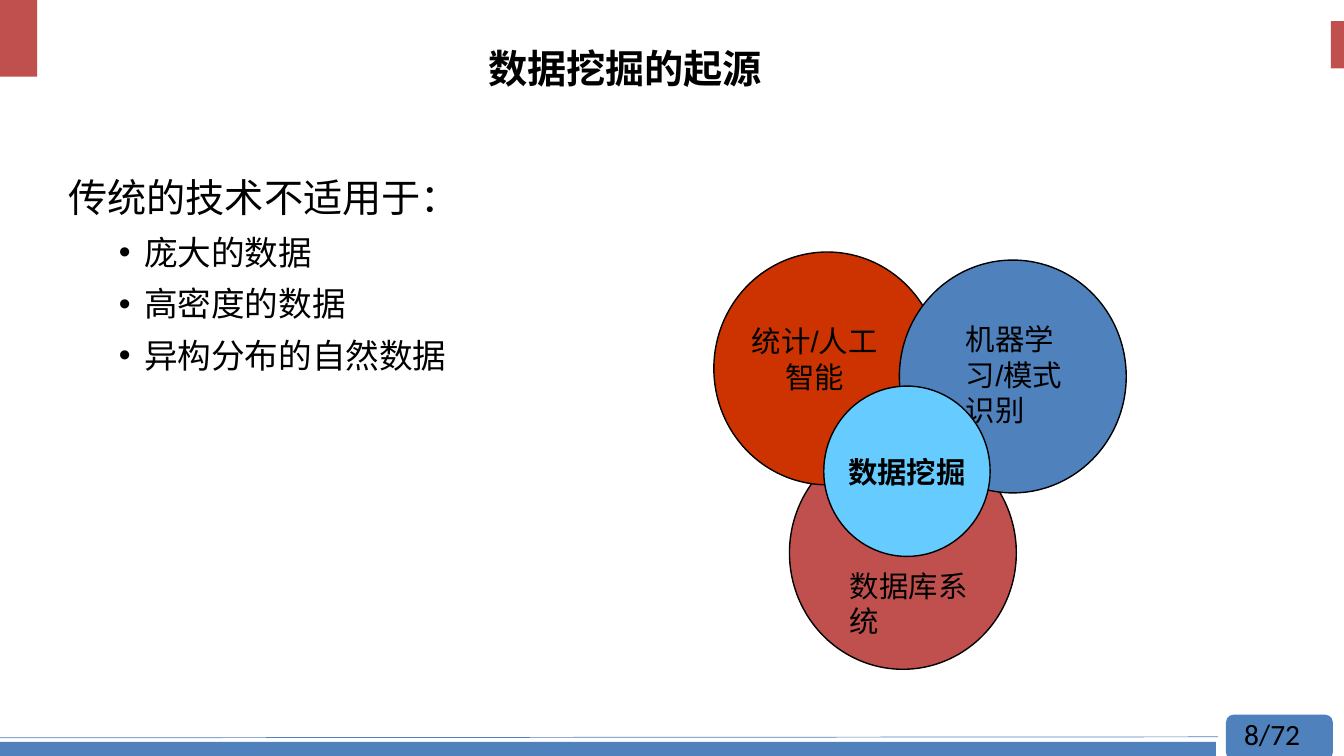
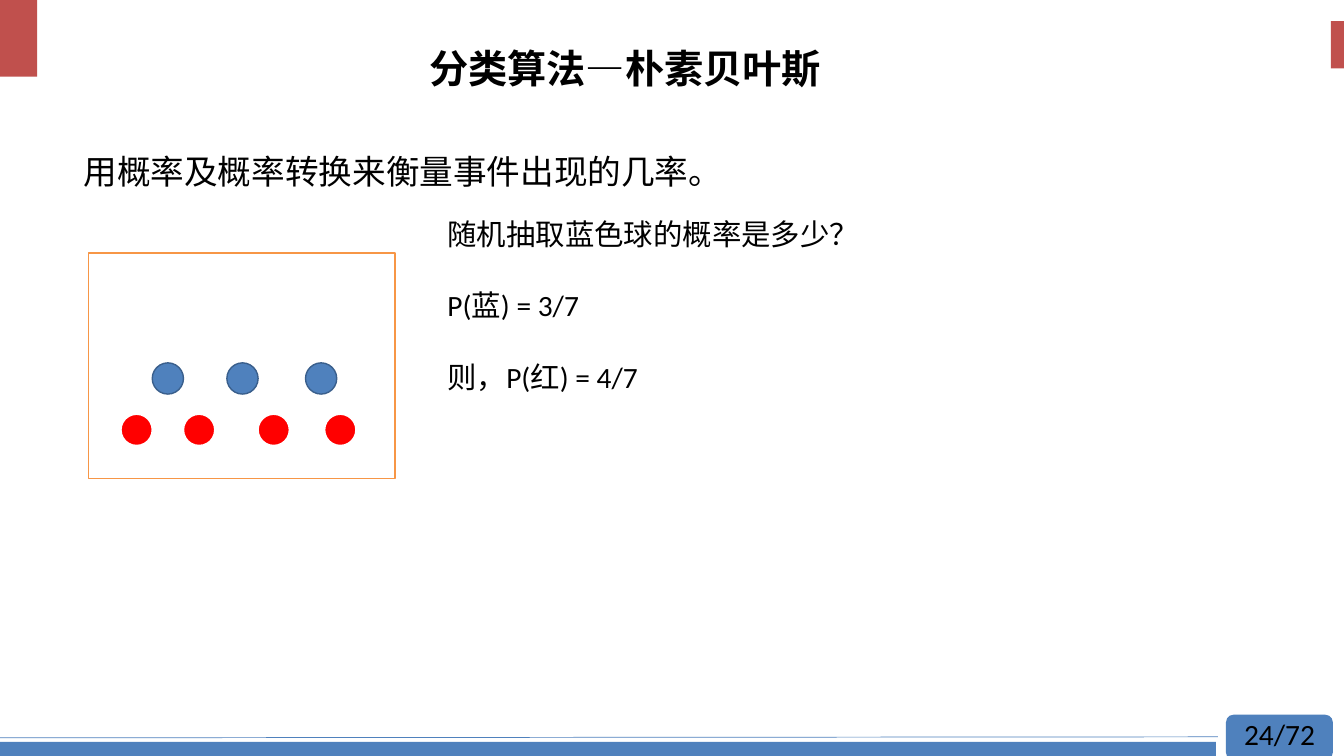
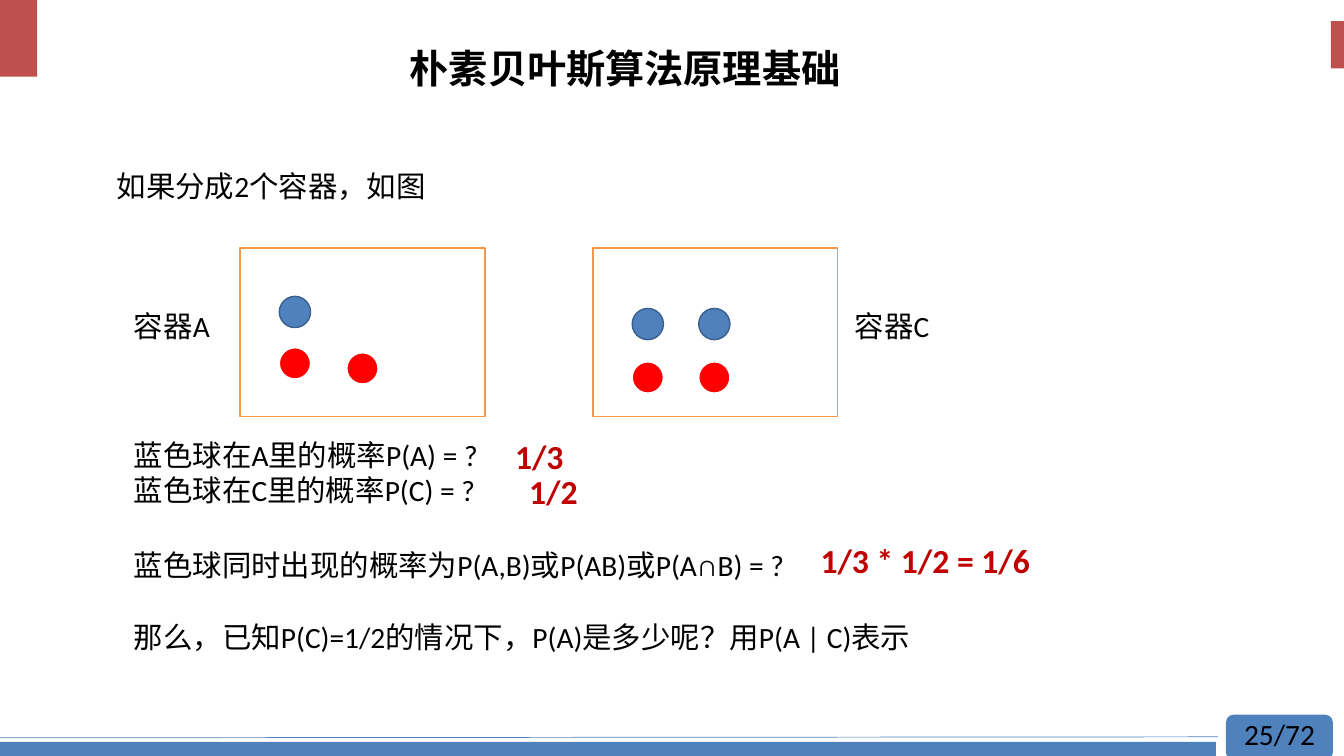
from dataclasses import dataclass

import pptx
import pptx.dml.color
import pptx.enum.shapes
import pptx.enum.text
import pptx.oxml.ns
import pptx.oxml.xmlchemy
import pptx.util
from lxml import etree

Inches = pptx.util.Inches
Pt = pptx.util.Pt
RGBColor = pptx.dml.color.RGBColor
Shape = pptx.enum.shapes.MSO_SHAPE
Align = pptx.enum.text.PP_ALIGN
Anchor = pptx.enum.text.MSO_ANCHOR
qn = pptx.oxml.ns.qn

BLACK = RGBColor(0x00, 0x00, 0x00)
WHITE = RGBColor(0xFF, 0xFF, 0xFF)
BLUE = RGBColor(0x4F, 0x81, 0xBD)
DARK_BLUE = RGBColor(0x3A, 0x5F, 0x8C)
SKY = RGBColor(0x66, 0xCC, 0xFF)
BRICK = RGBColor(0xC0, 0x50, 0x4D)
RUST = RGBColor(0xCC, 0x33, 0x00)
RED = RGBColor(0xFF, 0x00, 0x00)
DARK_RED = RGBColor(0xC0, 0x00, 0x00)
ORANGE = RGBColor(0xF7, 0x96, 0x46)

CJK_FONT = "Noto Sans CJK SC"
TOTAL_PAGES = 72
BALL_SIZE = 0.31
BODY_LEADING = Pt(32)
LABEL_LEADING = Pt(25.5)


@dataclass(frozen=True)
class Box:
    left: float
    top: float
    width: float
    height: float

    def lengths(self) -> tuple:
        return tuple(Inches(v) for v in (self.left, self.top, self.width, self.height))


@dataclass(frozen=True)
class Line:
    text: str
    before: float = 0
    size: float = 21
    bullet: bool = False


@dataclass(frozen=True)
class Disc:
    box: Box
    fill: RGBColor


@dataclass(frozen=True)
class Label:
    box: Box
    text: str
    align: Align = Align.LEFT
    side_inset: float = 0.1


@dataclass(frozen=True)
class Ball:
    left: float
    top: float
    fill: RGBColor
    line: RGBColor


def blue_ball(left: float, top: float) -> Ball:
    return Ball(left, top, BLUE, DARK_BLUE)


def red_ball(left: float, top: float) -> Ball:
    return Ball(left, top, RED, WHITE)


# Drawing helpers
def add_shape(page, kind, box: Box, fill: RGBColor, line: RGBColor | None = None):
    shape = page.shapes.add_shape(kind, *box.lengths())
    shape.shadow.inherit = False
    shape.fill.solid()
    shape.fill.fore_color.rgb = fill
    if line is None:
        shape.line.fill.background()
    else:
        shape.line.color.rgb = line
        shape.line.width = Pt(1)
    return shape


def write_lines(frame, lines: list[Line], *, font: str = "Calibri",
                color: RGBColor = BLACK, bold: bool = False,
                align: Align = Align.LEFT, anchor: Anchor = Anchor.TOP,
                leading=LABEL_LEADING, wrap: bool = True,
                side_inset: float = 0.1) -> None:
    frame.word_wrap = wrap
    frame.vertical_anchor = anchor
    frame.margin_left = frame.margin_right = Inches(side_inset)
    frame.margin_top = frame.margin_bottom = Inches(0.05)
    for index, line in enumerate(lines):
        para = frame.paragraphs[0] if index == 0 else frame.add_paragraph()
        para.alignment = align
        para.line_spacing = leading
        para.space_before = Pt(line.before)
        if line.bullet:
            properties = para._p.get_or_add_pPr()
            properties.set("marL", str(Inches(0.75)))
            properties.set("indent", str(Inches(-0.25)))
            etree.SubElement(properties, qn("a:buFont")).set("typeface", "Arial")
            etree.SubElement(properties, qn("a:buChar")).set("char", "•")
        span = para.add_run()
        span.text = line.text
        span.font.size = Pt(line.size)
        span.font.bold = bold
        span.font.color.rgb = color
        span.font.name = font
        east_asian = etree.SubElement(span._r.get_or_add_rPr(), qn("a:ea"))
        east_asian.set("typeface", CJK_FONT)


def add_text(page, box: Box, lines: list[Line], **text_format) -> None:
    frame = page.shapes.add_textbox(*box.lengths()).text_frame
    write_lines(frame, lines, **text_format)


def add_balls(page, balls: list[Ball]) -> None:
    for ball in balls:
        box = Box(ball.left, ball.top, BALL_SIZE, BALL_SIZE)
        add_shape(page, Shape.OVAL, box, ball.fill, ball.line)


def add_container(page, box: Box) -> None:
    add_shape(page, Shape.RECTANGLE, box, WHITE, ORANGE)


# Frame shared by all slides: corner marks, footer band, page number, title
def add_page(deck, title: str, number: int):
    page = deck.slides.add_slide(deck.slide_layouts[6])
    add_shape(page, Shape.RECTANGLE, Box(0, 0, 0.37, 0.76), BRICK)
    add_shape(page, Shape.RECTANGLE, Box(13.2, 0.21, 0.13, 0.47), BRICK)
    add_shape(page, Shape.RECTANGLE, Box(0, 7.36, 12.06, 0.14), BLUE)
    add_shape(page, Shape.FLOWCHART_ALTERNATE_PROCESS, Box(12.16, 7.09, 1.06, 0.45), BLUE)
    rule = page.shapes.add_connector(
        pptx.enum.shapes.MSO_CONNECTOR.STRAIGHT,
        Inches(0), Inches(7.32), Inches(12.08), Inches(7.31))
    rule.line.color.rgb = BLUE
    rule.line.width = Pt(0.5)
    etree.SubElement(rule._element.spPr, qn("a:effectLst"))
    add_text(page, Box(12.24, 7.05, 1.02, 0.45), [Line(f"{number}/{TOTAL_PAGES}")])
    add_text(page, Box(1.7, 0.29, 9, 0.82), [Line(title, size=28)], font=CJK_FONT,
             bold=True, align=Align.CENTER, anchor=Anchor.MIDDLE, leading=0.9)
    return page


def build_origins(deck) -> None:
    page = add_page(deck, "数据挖掘的起源", 8)
    topics = ["庞大的数据", "高密度的数据", "异构分布的自然数据"]
    add_text(page, Box(0.58, 1.69, 12.22, 5.17),
             [Line("传统的技术不适用于：", before=10, size=28)]
             + [Line(topic, before=5, size=24, bullet=True) for topic in topics],
             font=CJK_FONT, leading=BODY_LEADING)

    # Three overlapping fields with data mining at the centre
    fields = [
        Disc(Box(7.83, 4.33, 2.25, 2.31), BRICK),
        Disc(Box(7.08, 2.5, 2.25, 2.31), RUST),
        Disc(Box(8.92, 2.58, 2.25, 2.31), BLUE),
    ]
    for field in fields:
        add_shape(page, Shape.OVAL, field.box, field.fill, BLACK)
    labels = [
        Label(Box(9.58, 3.13, 1.17, 1.15), "机器学习/模式识别", side_inset=0),
        Label(Box(7.33, 3.15, 1.5, 0.8), "统计/人工智能", align=Align.CENTER),
        Label(Box(8.33, 5.58, 1.58, 0.8), "数据库系统"),
    ]
    for label in labels:
        add_text(page, label.box, [Line(label.text)], font="Arial",
                 align=label.align, side_inset=label.side_inset)
    centre = add_shape(page, Shape.OVAL, Box(8.17, 3.83, 1.65, 1.69), SKY, BLACK)
    write_lines(centre.text_frame, [Line("数据挖掘")], font="Arial", bold=True,
                align=Align.CENTER, anchor=Anchor.MIDDLE, wrap=False)


def build_naive_bayes(deck) -> None:
    page = add_page(deck, "分类算法—朴素贝叶斯", 24)
    add_text(page, Box(0.73, 1.4, 12.22, 5.17),
             [Line("用概率及概率转换来衡量事件出现的几率。", before=10, size=24)],
             font=CJK_FONT, leading=BODY_LEADING)

    # One container with seven balls
    add_container(page, Box(0.88, 2.51, 3.04, 2.24))
    add_balls(page, [blue_ball(left, 3.6) for left in (1.51, 2.25, 3.03)])
    add_balls(page, [red_ball(left, 4.11) for left in (1.2, 1.82, 2.56, 3.22)])
    add_text(page, Box(4.34, 2.09, 6.96, 3.25), [
        Line("随机抽取蓝色球的概率是多少？"),
        Line("P(蓝) = 3/7", before=25.5),
        Line("则，P(红) = 4/7", before=25.5),
    ])


def build_principles(deck) -> None:
    page = add_page(deck, "朴素贝叶斯算法原理基础", 25)
    add_text(page, Box(1.06, 1.61, 11.05, 0.45), [Line("如果分成2个容器，如图")])

    # Two containers and their names
    for left in (2.38, 5.88):
        add_container(page, Box(left, 2.46, 2.43, 1.67))
    add_balls(page, [blue_ball(2.77, 2.94), red_ball(2.77, 3.45), red_ball(3.44, 3.5)])
    for left in (6.27, 6.93):
        add_balls(page, [blue_ball(left, 3.06), red_ball(left, 3.59)])
    for left, name in ((1.23, "容器A"), (8.38, "容器C")):
        add_text(page, Box(left, 3, 1.12, 0.45), [Line(name)])

    # Questions and answers
    add_text(page, Box(1.23, 4.28, 9.63, 2.62), [
        Line("蓝色球在A里的概率P(A) = ?"),
        Line("蓝色球在C里的概率P(C) = ?"),
        Line("蓝色球同时出现的概率为P(A,B)或P(AB)或P(A∩B) = ?", before=28),
        Line("那么，已知P(C)=1/2的情况下，P(A)是多少呢？用P(A | C)表示", before=25.5),
    ])
    answers = [
        (Box(5.01, 4.28, 0.95, 0.5), "1/3"),
        (Box(5.15, 4.62, 0.95, 0.5), "1/2"),
        (Box(8.04, 5.31, 3.1, 0.5), "1/3 * 1/2 = 1/6"),
    ]
    for box, answer in answers:
        add_text(page, box, [Line(answer, size=24)], color=DARK_RED, bold=True, leading=1.0)


def main() -> None:
    deck = pptx.Presentation()
    deck.slide_width = Inches(13.33)
    deck.slide_height = Inches(7.5)
    build_origins(deck)
    build_naive_bayes(deck)
    build_principles(deck)
    deck.save("out.pptx")


if __name__ == "__main__":
    main()
